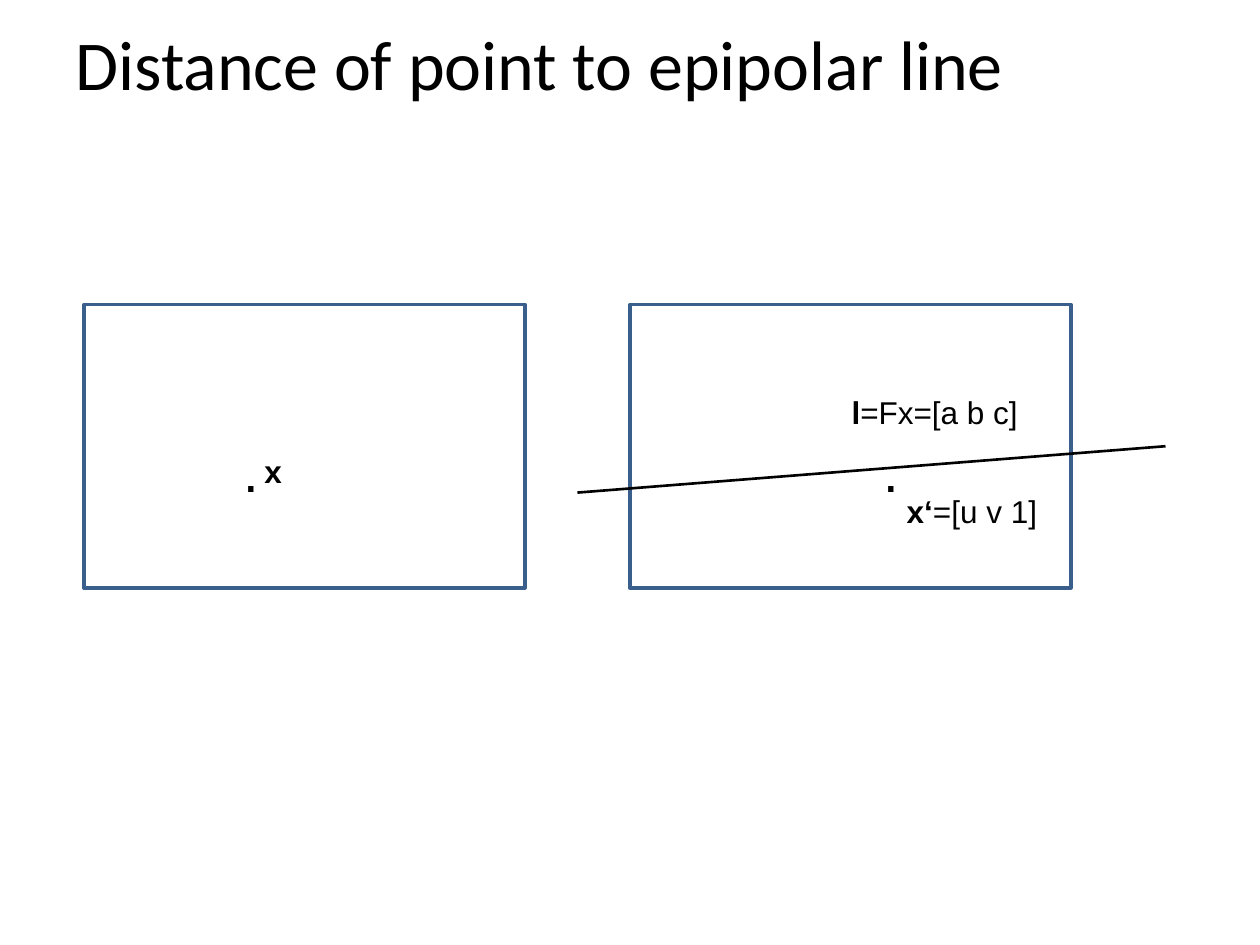
from pptx import Presentation
from pptx.dml.color import RGBColor
from pptx.enum.shapes import MSO_CONNECTOR as CONN, MSO_SHAPE as SHAPE
from pptx.enum.text import MSO_ANCHOR as ANCHOR, PP_ALIGN as ALIGN
from pptx.oxml.ns import qn
from pptx.util import Pt
from lxml.etree import SubElement

BLACK = "000000"
BLUE = "3A5F8C"


def color(value):
    return RGBColor.from_string(value)


def set_attrs(obj, values):
    for name, value in values.items():
        setattr(obj, name, value)


def add_run(p, text, size, font, bold=False):
    r = p.add_run()
    r.text = text
    set_attrs(r.font, {"size": Pt(size), "name": font, "bold": bold})
    r.font.color.rgb = color(BLACK)


def style_line(line, value, width):
    line.color.rgb = color(value)
    line.width = Pt(width)


def set_title(s, text):
    sp = s.shapes.title
    set_attrs(sp, {"left": Pt(36), "top": Pt(0), "width": Pt(648), "height": Pt(72)})
    tf = sp.text_frame
    set_attrs(tf, {"vertical_anchor": ANCHOR.MIDDLE, "word_wrap": True})
    p = tf.paragraphs[0]
    p.alignment = ALIGN.LEFT
    add_run(p, text, 40, "Calibri")


def add_image_plane(s, x, y, w, h):
    sp = s.shapes.add_shape(SHAPE.RECTANGLE, Pt(x), Pt(y), Pt(w), Pt(h))
    sp.shadow.inherit = False
    sp.fill.background()
    style_line(sp.line, BLUE, 2)


def add_label(s, x, y, w, h, size, bold_text, text=""):
    sp = s.shapes.add_textbox(Pt(x), Pt(y), Pt(w), Pt(h))
    tf = sp.text_frame
    tf.word_wrap = False
    p = tf.paragraphs[0]
    p.alignment = ALIGN.LEFT
    for part, bold in ((bold_text, True), (text, False)):
        if part:
            add_run(p, part, size, "Arial", bold)


def add_line(s, x1, y1, x2, y2):
    sp = s.shapes.add_connector(CONN.STRAIGHT, Pt(x1), Pt(y1), Pt(x2), Pt(y2))
    style_line(sp.line, BLACK, 1.5)
    SubElement(sp._element.spPr, qn("a:effectLst"))


def main():
    prs = Presentation()
    set_attrs(prs, {"slide_width": Pt(720), "slide_height": Pt(540)})
    s = prs.slides.add_slide(prs.slide_layouts[5])
    set_title(s, "Distance of point to epipolar line")
    for x in (48, 360):
        add_image_plane(s, x, 174, 252, 162)
    add_label(s, 144, 255, 24.5, 29, 18, "x")
    add_label(s, 511, 277.5, 90, 29, 18, "x‘", "=[u v 1]")
    for x in (132, 498):
        add_label(s, x, 246, 24, 46, 32, "", ".")
    add_line(s, 330, 281.5, 666, 255)
    add_label(s, 479.5, 221, 114.5, 29, 18, "l", "=Fx=[a b c]")
    prs.save("out.pptx")


if __name__ == "__main__":
    main()
